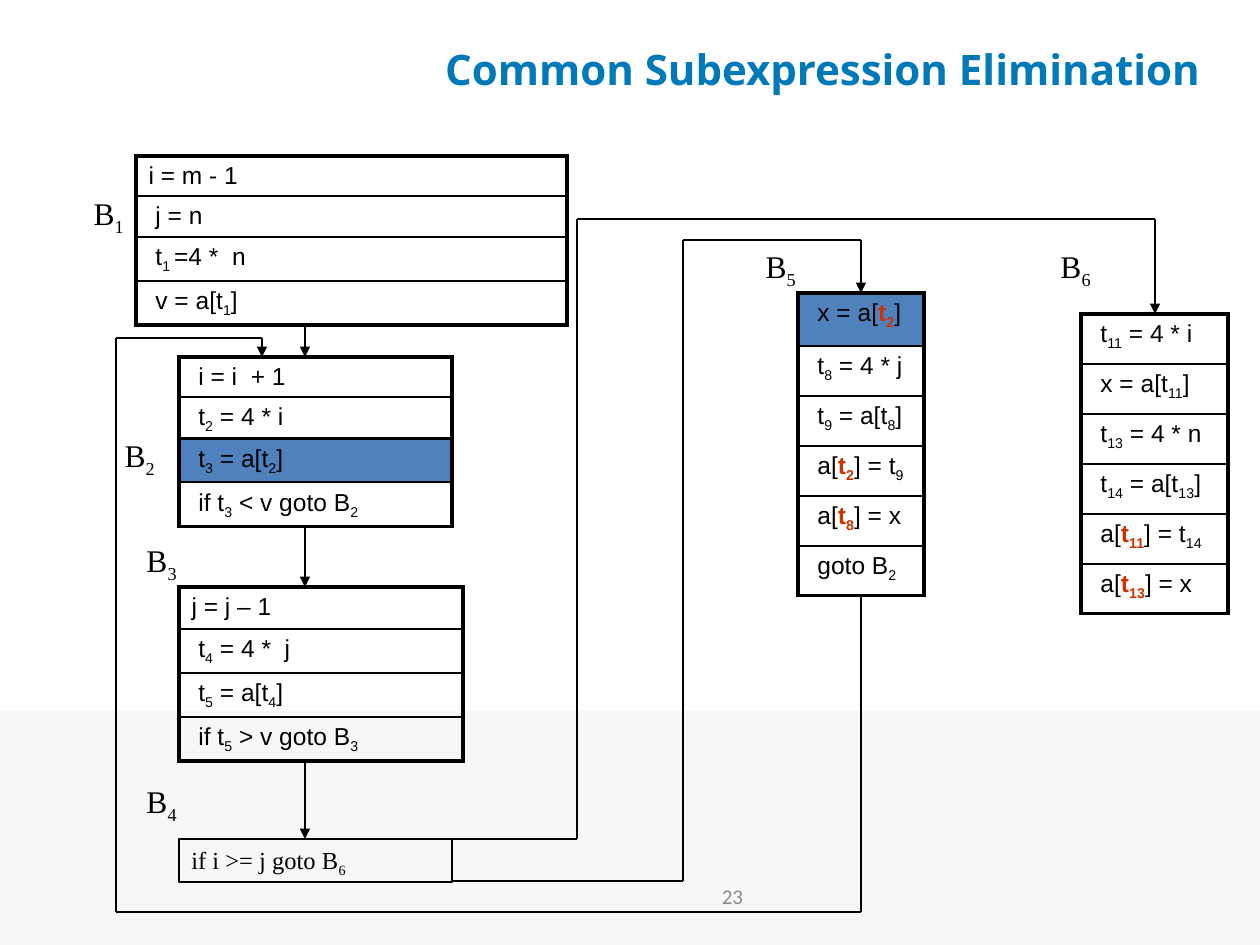
from itertools import pairwise

from lxml.etree import SubElement
from pptx import Presentation
from pptx.dml.color import RGBColor
from pptx.enum.shapes import MSO_CONNECTOR, MSO_SHAPE
from pptx.enum.text import MSO_ANCHOR, PP_ALIGN
from pptx.oxml.ns import qn
from pptx.util import Pt

EMU_PER_PX = 914400 / 126
COLORS = {"title": "0079B8", "text": "000000", "changed": "CC3300", "number": "8C8C8C",
          "highlight": "4F81BD", "band": "F7F7F7"}
SERIF = "Times New Roman"

# In code and labels, _..._ marks a subscript and ~..~ a replaced subexpression.
# Each block: left, top, width, row heights, highlighted row, code lines
BLOCKS = {
    "B1": (136, 156, 431, [40, 41, 44, 44], None,
           ["i = m - 1", " j = n", " t_1 _=4 *  n", " v = a[t_1_]"]),
    "B2": (179, 357, 273, [40, 41, 44, 44], 2,
           [" i = i  + 1", " t_2_ = 4 * i", " t_3_ = a[t_2_]", " if t_3_ < v goto B_2_"]),
    "B3": (179, 587, 284, [42, 44, 44, 44], None,
           ["j = j – 1", " t_4_ = 4 *  j", " t_5_ = a[t_4_]", " if t_5_ > v goto B_3_"]),
    "B5": (798, 293, 126, [53] + [50] * 5, 0,
           [" x = a[~t_2_~]", " t_8_ = 4 * j", " t_9_ = a[t_8_]",
            " a[~t_2_~] = t_9_", " a[~t_8_~] = x", " goto B_2_"]),
    "B6": (1081, 314, 147, [50] * 6, None,
           [" t_11_ = 4 * i", " x = a[t_11_]", " t_13_ = 4 * n", " t_14_ = a[t_13_]",
            " a[~t_11_~] = t_14_", " a[~t_13_~] = x"]),
}
BOTTOMS = {name: block[1] + sum(block[3]) for name, block in BLOCKS.items()}
LABELS = [("B_1_", 31, 188), ("B_2_", 62, 430), ("B_3_", 84, 535),
          ("B_4_", 84, 776), ("B_5_", 703, 241), ("B_6_", 998, 241)]
# Corner points of each flow; the last point carries the arrowhead
FLOWS = [
    [(305, BOTTOMS["B1"]), (305, 357)],
    [(305, BOTTOMS["B2"]), (305, 587)],
    [(305, BOTTOMS["B3"]), (305, 839)],
    [(452, 839), (577, 839), (577, 219), (1155, 219), (1155, 314)],
    [(452, 881), (683, 881), (683, 240), (861, 240), (861, 293)],
    [(861, BOTTOMS["B5"]), (861, 912), (116, 912), (116, 338), (262, 338), (262, 357)],
]


def px(*lengths):
    return [round(length * EMU_PER_PX) for length in lengths]


def color(name):
    return RGBColor.from_string(COLORS[name])


def write(paragraph, marked, size, font, align=PP_ALIGN.LEFT):
    """Write marked text as runs, with subscripts and replaced subexpressions."""
    paragraph.alignment = align
    paragraph.font.size = Pt(size)
    paragraph.font.name = font
    paragraph.font.color.rgb = color("text")
    for part_index, part in enumerate(marked.split("~")):
        for piece_index, piece in enumerate(part.split("_")):
            if not piece:
                continue
            run = paragraph.add_run()
            run.text = piece
            if part_index % 2:
                run.font.bold = True
                run.font.color.rgb = color("changed")
            if piece_index % 2:
                run.font._element.set("baseline", "-25000")


def add_box(slide, box, fill=None, outlined=True):
    shape = slide.shapes.add_shape(MSO_SHAPE.RECTANGLE, *px(*box))
    shape.shadow.inherit = False
    if fill:
        shape.fill.solid()
        shape.fill.fore_color.rgb = color(fill)
    else:
        shape.fill.background()
    if outlined:
        shape.line.color.rgb = color("text")
        shape.line.width = Pt(0.75)
    else:
        shape.line.fill.background()
    return shape


def set_borders(cell, widths):
    properties = cell._tc.get_or_add_tcPr()
    for position, (side, width) in enumerate(widths.items()):
        line = properties.makeelement(qn(f"a:{side}"), {"w": str(Pt(width))})
        fill = SubElement(line, qn("a:solidFill"))
        SubElement(fill, qn("a:srgbClr"), val=COLORS["text"])
        properties.insert(position, line)


def add_block(slide, left, top, width, heights, highlighted, lines):
    if highlighted is not None:
        row_top = top + sum(heights[:highlighted])
        add_box(slide, (left, row_top, width, heights[highlighted]), "highlight")
    frame = slide.shapes.add_table(len(lines), 1, *px(left, top, width, sum(heights)))
    table = frame.table
    table.first_row = table.horz_banding = False
    last = len(lines) - 1
    for index, (height, code) in enumerate(zip(heights, lines)):
        table.rows[index].height = px(height)[0]
        cell = table.cell(index, 0)
        cell.margin_bottom = px(2)[0]
        cell.fill.background()
        write(cell.text_frame.paragraphs[0], code, 14, "Arial")
        set_borders(cell, {"lnL": 2.25, "lnR": 2.25,
                           "lnT": 2.25 if index == 0 else 1,
                           "lnB": 2.25 if index == last else 1})


def add_flow(slide, points):
    for start, end in pairwise(points):
        connector = slide.shapes.add_connector(MSO_CONNECTOR.STRAIGHT, *px(*start, *end))
        connector.line.color.rgb = color("text")
        connector.line.width = Pt(0.75)
        if end == points[-1]:
            SubElement(connector.line._get_or_add_ln(), qn("a:tailEnd"), type="triangle")
        SubElement(connector._element.spPr, qn("a:effectLst"))


def add_text(slide, box):
    frame = slide.shapes.add_textbox(*px(*box)).text_frame
    frame.word_wrap = True
    return frame


def main():
    presentation = Presentation()
    presentation.slide_width, presentation.slide_height = px(1260, 945)
    slide = presentation.slides.add_slide(presentation.slide_layouts[5])

    add_box(slide, (0, 711, 1260, 234), "band", outlined=False)

    number = add_text(slide, (533, 863, 399, 66))
    number.vertical_anchor = MSO_ANCHOR.MIDDLE
    write(number.paragraphs[0], "23", 12, "Calibri", PP_ALIGN.CENTER)
    number.paragraphs[0].font.color.rgb = color("number")

    title = slide.shapes.title
    title.left, title.top, title.width, title.height = px(420, 21, 805, 95)
    title.text_frame.vertical_anchor = MSO_ANCHOR.MIDDLE
    heading = title.text_frame.paragraphs[0]
    write(heading, "Common Subexpression Elimination", 24, "Open Sans", PP_ALIGN.CENTER)
    heading.font.bold = True
    heading.font.color.rgb = color("title")

    for block in BLOCKS.values():
        add_block(slide, *block)

    branch = add_box(slide, (179, 839, 273, 43)).text_frame
    branch.vertical_anchor = MSO_ANCHOR.TOP
    write(branch.paragraphs[0], "if i >= j goto B_6_", 14, SERIF)

    for points in FLOWS:
        add_flow(slide, points)
    for label, left, top in LABELS:
        frame = add_text(slide, (left, top, 105, 50))
        write(frame.paragraphs[0], label, 18, SERIF, PP_ALIGN.RIGHT)

    presentation.save("out.pptx")


if __name__ == "__main__":
    main()
